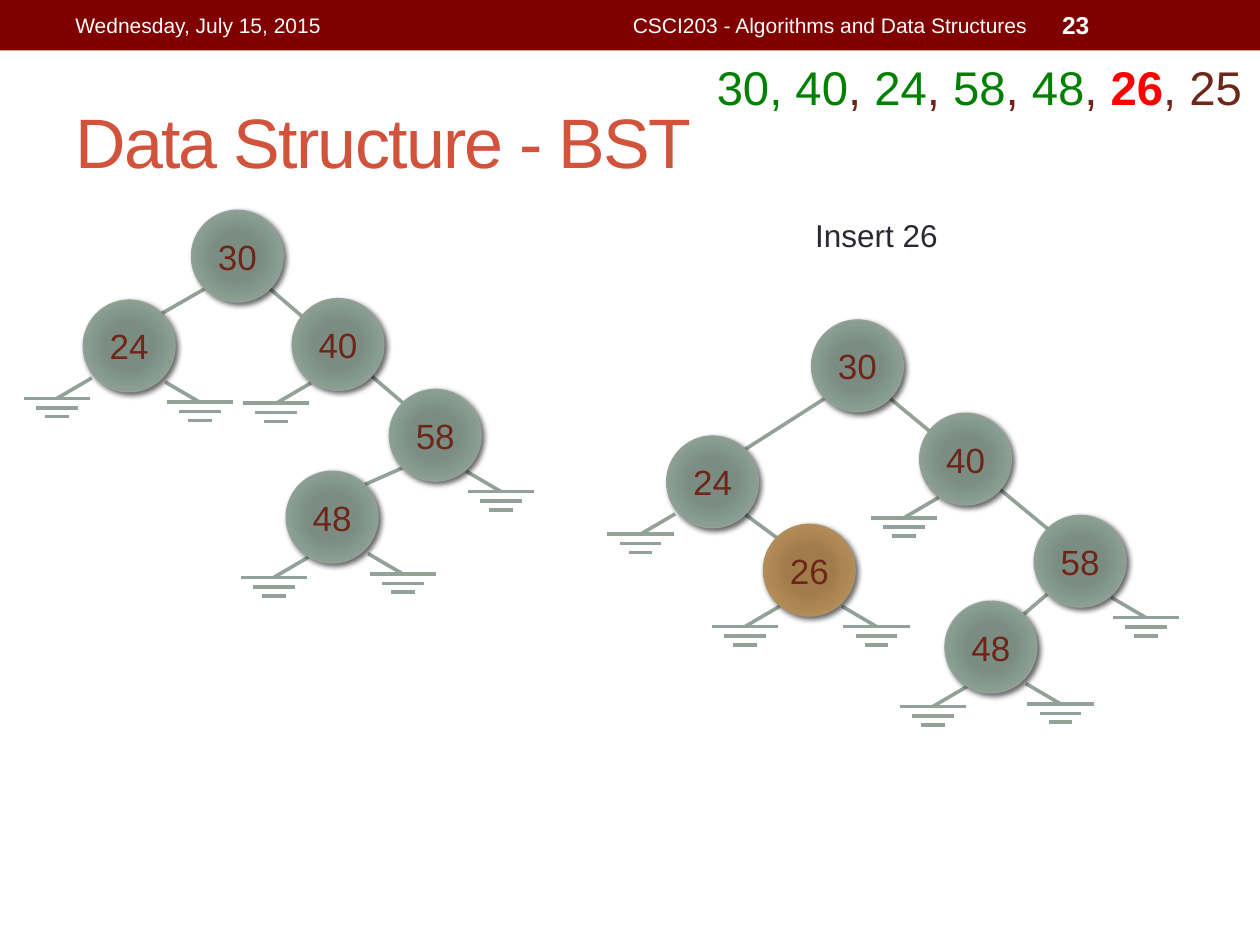
"""Build a slide that shows inserting 26 into a binary search tree."""
from typing import NamedTuple

from lxml.etree import SubElement
from pptx import Presentation
from pptx.dml.color import RGBColor
from pptx.enum.shapes import MSO_CONNECTOR, MSO_SHAPE
from pptx.enum.text import MSO_ANCHOR, PP_ALIGN
from pptx.oxml import parse_xml
from pptx.oxml.ns import nsdecls, qn
from pptx.util import Cm, Pt

COLORS = {
    "banner": "800000", "white": "FFFFFF", "title": "D2533C", "body": "292934",
    "key": "6E2619", "done": "008000", "current": "FF0000",
    "branch": "93A299", "new": "AD8F67",
}
GRADIENTS = {
    "branch": ((0, "7B8E82"), (34, "7B8D83"), (70, "8A9E92"), (100, "93A299")),
    "new": ((0, "A37D49"), (34, "A07C4C"), (70, "B38B55"), (100, "AD8F67")),
}
FONT = "Arial"
DIAMETER = 1.85
NEAR, FAR = 0.27, 1.58
STUB_WIDTH, STUB_HEIGHT = 0.7, 0.41
GROUND_BARS = ((0, 0.67), (0.19, 0.42), (0.37, 0.24))
LEFT, RIGHT = -1, 1


class Node(NamedTuple):
    """A tree key with the top left corner of its circle."""
    x: float
    y: float
    style: str = "branch"


class Ground(NamedTuple):
    """An empty child: where its stub starts and which way it leans."""
    x: float
    y: float
    side: int


class Tree(NamedTuple):
    """Nodes by key, edges as pairs of keys, and empty children."""
    nodes: dict[str, Node]
    edges: tuple[tuple[str, str], ...]
    grounds: tuple[Ground, ...]


class Label(NamedTuple):
    """A single-style text box."""
    text: str
    box: tuple[float, float, float, float]
    size: float
    color: str
    align: PP_ALIGN = PP_ALIGN.LEFT
    anchor: MSO_ANCHOR = MSO_ANCHOR.MIDDLE
    bold: bool = False


BEFORE = Tree(
    nodes={
        "30": Node(3.86, 4.24), "24": Node(1.68, 6.05), "40": Node(5.89, 6.02),
        "48": Node(5.77, 9.5), "58": Node(7.85, 7.85),
    },
    edges=(("30", "24"), ("30", "58"), ("58", "48")),
    grounds=(
        Ground(1.85, 7.62, LEFT), Ground(3.33, 7.7, RIGHT),
        Ground(6.27, 7.72, LEFT), Ground(9.4, 9.5, RIGHT),
        Ground(6.22, 11.23, LEFT), Ground(7.42, 11.16, RIGHT),
    ),
)
AFTER = Tree(
    nodes={
        "30": Node(16.36, 6.45), "24": Node(13.44, 8.79), "40": Node(18.54, 8.33),
        "58": Node(20.85, 10.39), "48": Node(19.05, 12.12),
        "26": Node(15.39, 10.57, "new"),
    },
    edges=(("30", "24"), ("30", "58"), ("24", "26"), ("58", "48")),
    grounds=(
        Ground(13.61, 10.36, LEFT), Ground(18.92, 10.03, LEFT),
        Ground(22.4, 12.04, RIGHT), Ground(15.72, 12.22, LEFT),
        Ground(16.97, 12.22, RIGHT), Ground(19.51, 13.83, LEFT),
        Ground(20.68, 13.78, RIGHT),
    ),
)
LABELS = (
    Label("Wednesday, July 15, 2015", (1.27, 0.05, 8.05, 0.91), 12, "white"),
    Label("CSCI203 - Algorithms and Data Structures", (9.53, 0.05, 11.43, 0.91),
          12, "white", PP_ALIGN.RIGHT),
    Label("23", (21.16, 0.05, 2.97, 0.91), 14, "white", bold=True),
    Label("Insert 26", (14.81, 4.24, 5.72, 1.02), 18, "body",
          PP_ALIGN.CENTER, MSO_ANCHOR.TOP),
)
TITLE = Label("Data Structure - BST", (1.27, 1.47, 22.86, 2.74), 40, "title")
SEQUENCE = (
    ("30, 40", "done"), (", ", "key"), ("24", "done"), (", ", "key"),
    ("58", "done"), (", ", "key"), ("48", "done"), (", ", "key"),
    ("26", "current"), (", 25", "key"),
)


def rgb(name: str) -> RGBColor:
    """Look up a named colour."""
    return RGBColor.from_string(COLORS[name])


def add_label(shapes, label: Label):
    """Add a text box and return its paragraph."""
    frame = shapes.add_textbox(*map(Cm, label.box)).text_frame
    frame.word_wrap = True
    frame.vertical_anchor = label.anchor
    paragraph = frame.paragraphs[0]
    paragraph.text = label.text
    paragraph.alignment = label.align
    paragraph.font.name = FONT
    paragraph.font.size = Pt(label.size)
    paragraph.font.bold = label.bold
    paragraph.font.color.rgb = rgb(label.color)
    return paragraph


def add_block(shapes, box: tuple[float, ...], color: str):
    """Add a plain filled rectangle."""
    block = shapes.add_shape(MSO_SHAPE.RECTANGLE, *map(Cm, box))
    block.shadow.inherit = False
    block.fill.solid()
    block.fill.fore_color.rgb = rgb(color)
    block.line.fill.background()
    return block


def add_line(shapes, x1: float, y1: float, x2: float, y2: float) -> None:
    """Add a straight branch line."""
    line = shapes.add_connector(MSO_CONNECTOR.STRAIGHT, *map(Cm, (x1, y1, x2, y2)))
    line.line.color.rgb = rgb("branch")
    line.line.width = Pt(2.08)
    SubElement(line._element.spPr, qn("a:effectLst"))


def add_edge(shapes, parent: Node, child: Node) -> None:
    """Join the lower rim of a parent to the upper rim of a child."""
    start, end = (FAR, NEAR) if child.x > parent.x else (NEAR, FAR)
    add_line(shapes, parent.x + start, parent.y + FAR, child.x + end, child.y + NEAR)


def add_ground(shapes, ground: Ground) -> None:
    """Draw a stub that ends in three shrinking bars."""
    x, y = ground.x + ground.side * STUB_WIDTH, ground.y + STUB_HEIGHT
    add_line(shapes, ground.x, ground.y, x, y)
    for drop, half in GROUND_BARS:
        add_line(shapes, x - half, y + drop, x + half, y + drop)


def add_node(shapes, key: str, node: Node) -> None:
    """Draw a shaded circle that holds a key."""
    circle = shapes.add_shape(
        MSO_SHAPE.OVAL, Cm(node.x), Cm(node.y), Cm(DIAMETER), Cm(DIAMETER))
    circle.line.color.rgb = rgb(node.style)
    circle.line.width = Pt(0.75)
    circle.shadow.inherit = False
    circle.fill.gradient()
    properties = circle._element.spPr
    stops = "".join(
        f'<a:gs pos="{position * 1000}"><a:srgbClr val="{color}"/></a:gs>'
        for position, color in GRADIENTS[node.style])
    properties.replace(properties.find(qn("a:gradFill")), parse_xml(
        f'<a:gradFill {nsdecls("a")} rotWithShape="1"><a:gsLst>{stops}</a:gsLst>'
        '<a:path path="circle"><a:fillToRect l="100000" t="100000" r="100000" '
        'b="100000"/></a:path></a:gradFill>'))
    properties.find(qn("a:effectLst")).append(parse_xml(
        f'<a:outerShdw {nsdecls("a")} blurRad="{Pt(3)}" dist="{Pt(2)}" dir="2700000">'
        '<a:srgbClr val="000000"><a:alpha val="60000"/></a:srgbClr></a:outerShdw>'))
    frame = circle.text_frame
    frame.margin_left = frame.margin_right = frame.margin_top = frame.margin_bottom = 0
    frame.vertical_anchor = MSO_ANCHOR.MIDDLE
    paragraph = frame.paragraphs[0]
    paragraph.text = key
    paragraph.alignment = PP_ALIGN.CENTER
    paragraph.font.name = FONT
    paragraph.font.size = Pt(20)
    paragraph.font.color.rgb = rgb("key")


def add_tree(slide, tree: Tree) -> None:
    """Draw a tree as one group, with nodes in front of lines."""
    shapes = slide.shapes.add_group_shape().shapes
    for parent, child in tree.edges:
        add_edge(shapes, tree.nodes[parent], tree.nodes[child])
    for ground in tree.grounds:
        add_ground(shapes, ground)
    for key, node in tree.nodes.items():
        add_node(shapes, key, node)


def add_sequence(shapes) -> None:
    """Show the insertion order with the current key highlighted."""
    strip = add_block(shapes, (14.2, 1.04, 11.2, 1.45), "white")
    strip.text_frame.word_wrap = True
    strip.text_frame.vertical_anchor = MSO_ANCHOR.TOP
    paragraph = strip.text_frame.paragraphs[0]
    paragraph.alignment = PP_ALIGN.LEFT
    paragraph.font.name = FONT
    paragraph.font.size = Pt(27)
    for text, color in SEQUENCE:
        run = paragraph.add_run()
        run.text = text
        run.font.color.rgb = rgb(color)
        run.font.bold = color == "current"


def main() -> None:
    """Assemble and save the slide."""
    deck = Presentation()
    deck.slide_width, deck.slide_height = Cm(25.4), Cm(19.05)
    slide = deck.slides.add_slide(deck.slide_layouts[6])
    add_block(slide.shapes, (0, 0, 25.4, 1.02), "banner")
    title = add_label(slide.shapes, TITLE)
    title.runs[0].font._element.set("spc", "-100")
    for label in LABELS:
        add_label(slide.shapes, label)
    for tree in (BEFORE, AFTER):
        add_tree(slide, tree)
    add_sequence(slide.shapes)
    deck.save("out.pptx")


if __name__ == "__main__":
    main()
